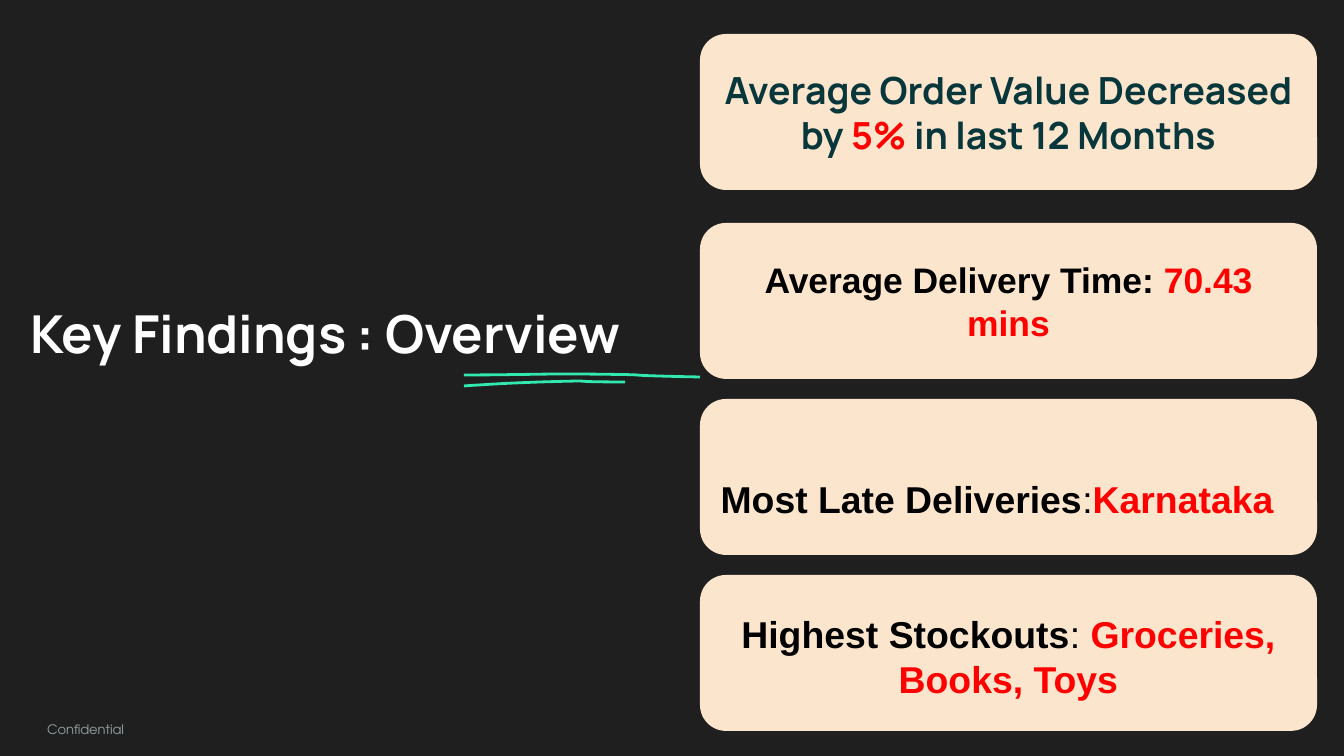
from pptx import Presentation
from pptx.dml.color import RGBColor
from pptx.enum.shapes import MSO_SHAPE
from pptx.enum.text import MSO_ANCHOR, MSO_AUTO_SIZE, PP_ALIGN
from pptx.util import Emu, Pt

ROUNDED = MSO_SHAPE.ROUNDED_RECTANGLE
TOP, MIDDLE = MSO_ANCHOR.TOP, MSO_ANCHOR.MIDDLE
LEFT, CENTER = PP_ALIGN.LEFT, PP_ALIGN.CENTER
NO_FIT = MSO_AUTO_SIZE.NONE

DARK = RGBColor(0x1F, 0x1F, 0x1F)
CREAM = RGBColor(0xFC, 0xE5, 0xCD)
TEAL = RGBColor(0x07, 0x36, 0x3B)
MINT = RGBColor(0x30, 0xE8, 0xB0)
GRAY = RGBColor(0x93, 0xA2, 0xA2)
RED = RGBColor(0xFF, 0x00, 0x00)
WHITE = RGBColor(0xFF, 0xFF, 0xFF)
BLACK = RGBColor(0x00, 0x00, 0x00)

EMU_PER_PX = 914400 / 134.4
INSET = 13
CURVE_STEPS = 12

CARD_LEFT, CARD_WIDTH, CARD_HEIGHT = 700, 617, 156
FIRST_CARD_TOP, SECOND_CARD_TOP, CARD_PITCH = 34, 223, 176

# Each finding: spans of (text, colour, bold), then its text format.
FINDINGS = [
    ([("Average Order Value Decreased by ", TEAL, True), ("5% ", RED, True),
      ("in last 12 Months", TEAL, True)], dict(font="Manrope", size=20)),
    ([("Average Delivery Time: ", BLACK, True), ("70.43 mins", RED, True)],
     dict(size=19)),
    ([("Most Late Deliveries", BLACK, True), (":", BLACK, False),
      ("Karnataka", RED, True)], dict(size=20, align=LEFT, top_inset=57)),
    ([("Highest Stockouts", BLACK, True), (":", BLACK, False),
      (" Groceries, Books, Toys", RED, True)], dict(size=20, top_inset=20)),
]

# Control points of joined cubic curves, relative to the underline's box.
UNDERLINES = [
    [(0, 12), (31, 10), (47, 9), (78, 8), (146, 6), (91, 8), (161, 8)],
    [(0, 1), (44, 1), (70, 0), (114, 0), (215, 1), (133, 1), (236, 3)],
]


def px(length):
    return Emu(round(length * EMU_PER_PX))


def place(shape, left, top, width, height):
    shape.left, shape.top = px(left), px(top)
    shape.width, shape.height = px(width), px(height)


def write(shape, spans, font="Arial", size=20, align=CENTER, anchor=MIDDLE,
          top_inset=INSET, line_spacing=1.0):
    frame = shape.text_frame
    frame.word_wrap = True
    frame.auto_size = NO_FIT
    frame.vertical_anchor = anchor
    frame.margin_left = frame.margin_right = frame.margin_bottom = px(INSET)
    frame.margin_top = px(top_inset)
    para = frame.paragraphs[0]
    para.alignment = align
    para.line_spacing = line_spacing
    para.space_before = Pt(0)
    for text, color, bold in spans:
        span = para.add_run()
        span.text = text
        span.font.name = font
        span.font.size = Pt(size)
        span.font.bold = bold
        span.font.color.rgb = color


def curve_points(controls):
    """Sample the joined cubic curves as a list of points."""
    points = [controls[0]]
    for first in range(0, len(controls) - 1, 3):
        segment = controls[first:first + 4]
        for step in range(1, CURVE_STEPS + 1):
            t = step / CURVE_STEPS
            weights = ((1 - t) ** 3, 3 * t * (1 - t) ** 2,
                       3 * t ** 2 * (1 - t), t ** 3)
            points.append(tuple(sum(w * point[axis] for w, point in zip(weights, segment))
                                for axis in (0, 1)))
    return points


def add_underline(page, left, top):
    for controls in UNDERLINES:
        points = [(px(left + x), px(top + y)) for x, y in curve_points(controls)]
        builder = page.shapes.build_freeform(*points[0])
        builder.add_line_segments(points[1:], close=False)
        stroke = builder.convert_to_shape()
        stroke.shadow.inherit = False
        stroke.fill.background()
        stroke.line.color.rgb = MINT
        stroke.line.width = Pt(1.5)


def add_heading(page, left, top, width, height):
    title = page.shapes.title
    place(title, left, top, width, height)
    write(title, [("Key Findings : Overview", WHITE, True)],
          font="Manrope", size=28, align=LEFT, anchor=TOP)
    add_underline(page, left + 447, top + 86)


def add_footer(page, left, top, width, height):
    footer = page.placeholders[1]
    place(footer, left, top, width, height)
    write(footer, [("Confidential", GRAY, False)], font="TeX Gyre Adventor",
          size=7, align=LEFT, anchor=TOP, line_spacing=1.15)


def add_card(page, left, top, width, height, spans, text_format):
    card = page.shapes.add_shape(ROUNDED, px(left), px(top), px(width), px(height))
    card.shadow.inherit = False
    card.fill.solid()
    card.fill.fore_color.rgb = CREAM
    card.line.fill.background()
    write(card, spans, **text_format)


def main():
    deck = Presentation()
    deck.slide_width, deck.slide_height = px(1344), px(756)
    page = deck.slides.add_slide(deck.slide_layouts[0])
    page.background.fill.solid()
    page.background.fill.fore_color.rgb = DARK

    add_heading(page, 17, 288, 839, 90)
    add_footer(page, 34, 706, 164, 46)
    tops = [FIRST_CARD_TOP] + [SECOND_CARD_TOP + CARD_PITCH * row for row in range(3)]
    for top, (spans, text_format) in zip(tops, FINDINGS):
        add_card(page, CARD_LEFT, top, CARD_WIDTH, CARD_HEIGHT, spans, text_format)

    deck.save("out.pptx")


if __name__ == "__main__":
    main()
